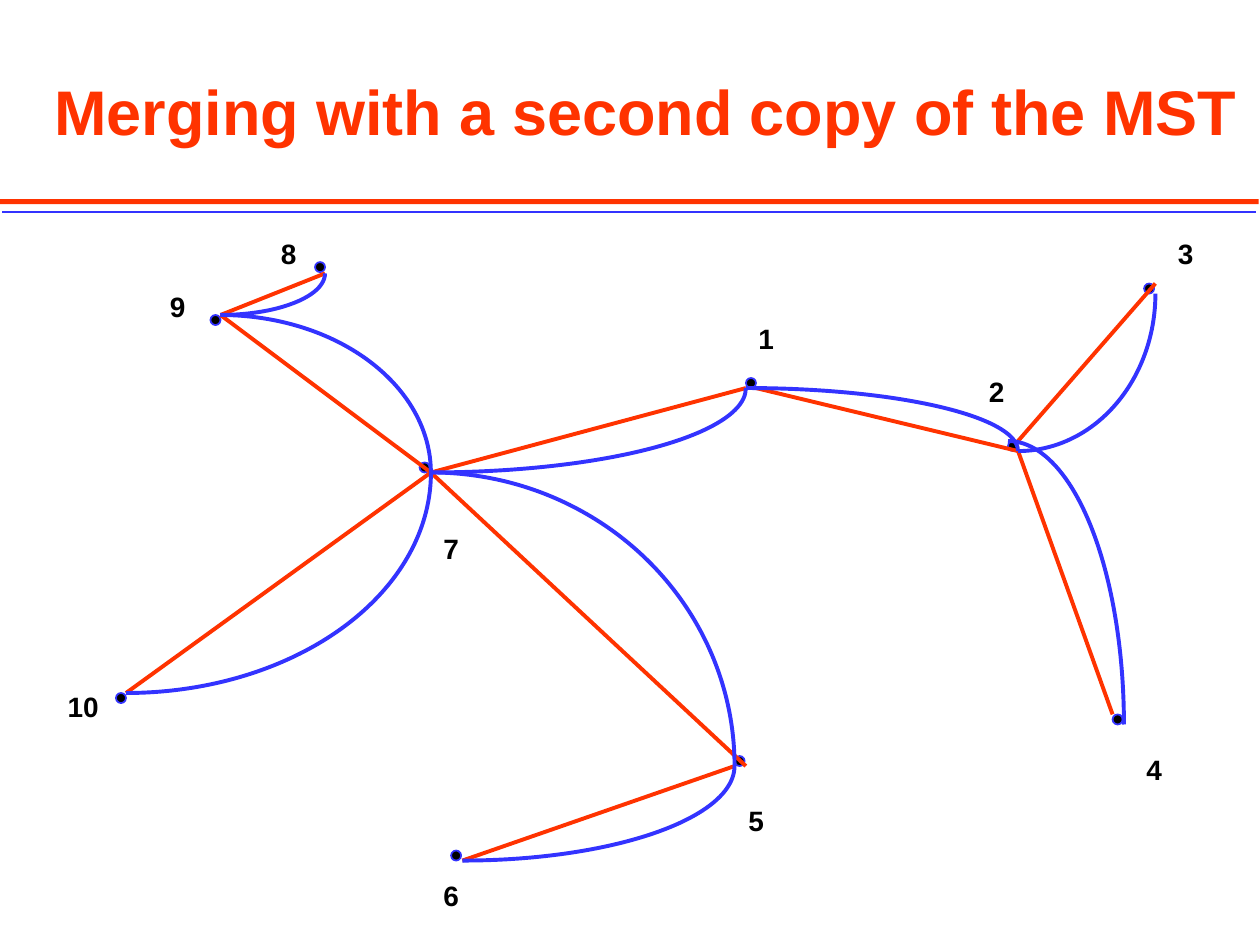
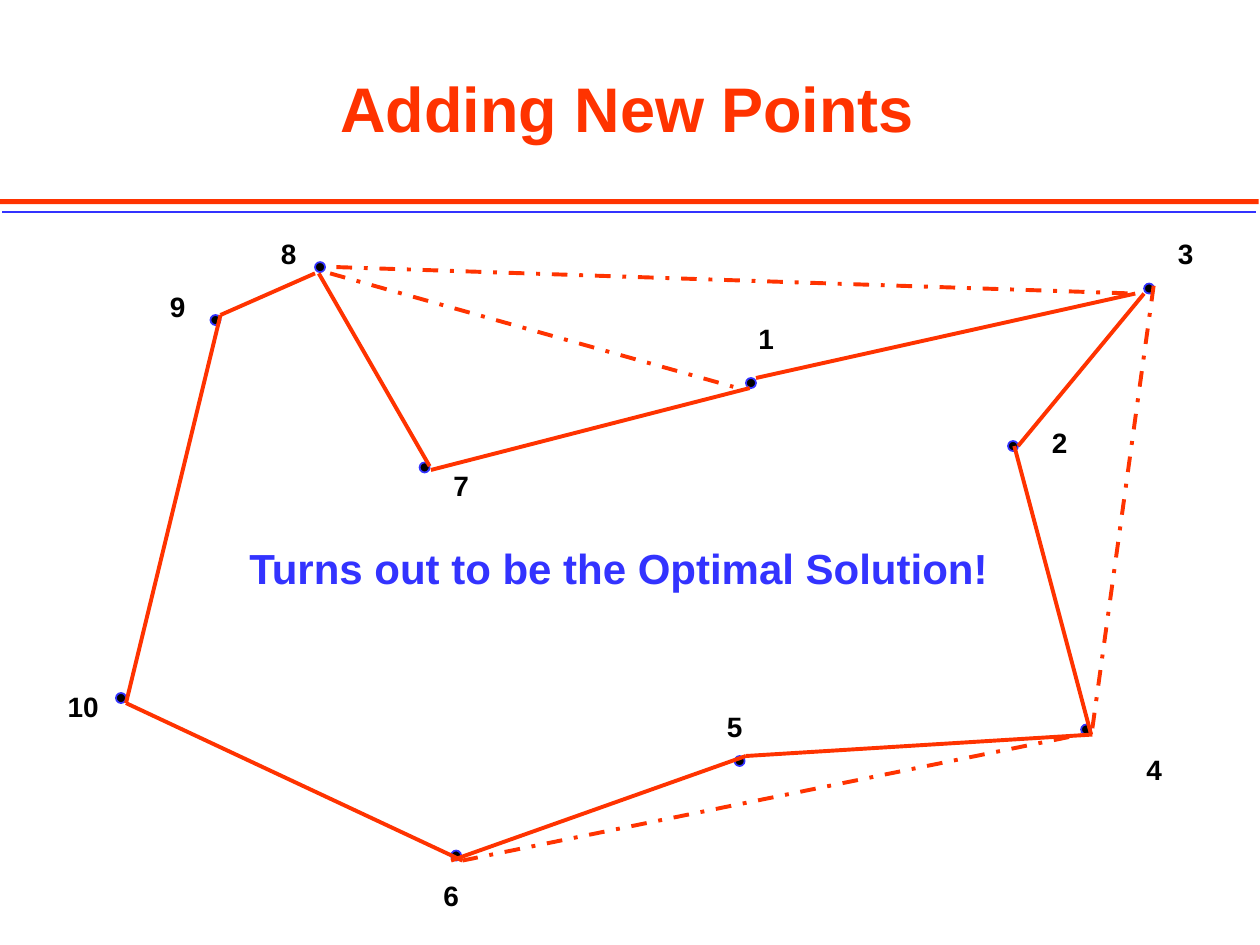
from dataclasses import dataclass, field

from lxml import etree
from pptx import Presentation
from pptx import presentation as prs
from pptx import util as u
from pptx.dml.color import RGBColor
from pptx.enum import dml, shapes, text
from pptx.oxml import ns
from pptx.slide import Slide
from pptx.text.text import TextFrame
from pptx.util import Inches

Point = tuple[float, float]


@dataclass(frozen=True)
class Theme:
    red: RGBColor = RGBColor(0xFF, 0x33, 0x00)
    blue: RGBColor = RGBColor(0x33, 0x33, 0xFF)
    black: RGBColor = RGBColor(0, 0, 0)
    font: str = "Arial"
    title_size: int = 36
    remark_size: int = 24
    label_size: int = 16
    edge_width: float = 2.25
    thin_width: float = 1
    node_size: float = 0.08


@dataclass(frozen=True)
class Box:
    left: float
    top: float
    width: float = 0.32
    height: float = 0.37

    def lengths(self) -> list[u.Length]:
        return [Inches(v) for v in (self.left, self.top, self.width, self.height)]


@dataclass(frozen=True)
class Edge:
    start: Point
    end: Point
    dashed: bool = False


@dataclass(frozen=True)
class Graph:
    title: str
    title_box: Box
    edges: list[Edge]
    arcs: list[Edge] = field(default_factory=list)
    moved_nodes: dict[int, Point] = field(default_factory=dict)
    moved_labels: dict[int, Box] = field(default_factory=dict)


THEME = Theme()
QUARTER_TURN = 90 * 60000

NODES: dict[int, Point] = {
    9: (1.67, 2.5), 8: (2.5, 2.08), 10: (0.92, 5.5), 6: (3.58, 6.75),
    7: (3.33, 3.67), 1: (5.92, 3), 5: (5.83, 6), 4: (8.83, 5.67),
    3: (9.08, 2.25), 2: (8, 3.5),
}
LABELS: dict[int, Box] = {
    8: Box(2.08, 1.83, 0.42), 9: Box(1.25, 2.25), 10: Box(0.41, 5.42, 0.5),
    7: Box(3.42, 4.17), 6: Box(3.42, 6.92), 1: Box(5.92, 2.5),
    5: Box(5.84, 6.33), 4: Box(9, 5.92), 3: Box(9.25, 1.83), 2: Box(7.75, 2.92),
}

# Points where several tree edges meet
HUB_1, HUB_2, HUB_5 = (5.92, 3.08), (8.08, 3.58), (5.83, 6.08)
HUB_6, HUB_7, HUB_8 = (3.67, 6.83), (3.42, 3.75), (2.58, 2.17)
HUB_9, HUB_10 = (1.75, 2.5), (1, 5.5)

MERGED_TREE = Graph(
    title="Merging with a second copy of the MST",
    title_box=Box(0.25, 0.25, 9.75, 1.25),
    edges=[
        Edge((6, 3.08), HUB_2),
        Edge((8.08, 3.5), (9.17, 2.25)),
        Edge(HUB_2, (8.83, 5.67)),
        Edge(HUB_7, HUB_1),
        Edge(HUB_5, HUB_6),
        Edge(HUB_7, HUB_10),
        Edge(HUB_9, HUB_7),
        Edge(HUB_9, HUB_8),
        Edge(HUB_7, (5.92, 6.08)),
    ],
    arcs=[
        Edge(HUB_10, HUB_7),
        Edge(HUB_9, HUB_7),
        Edge(HUB_9, HUB_8),
        Edge(HUB_6, HUB_5),
        Edge(HUB_7, HUB_5),
        Edge(HUB_7, HUB_1),
        Edge(HUB_1, HUB_2),
        Edge(HUB_2, (9.17, 2.33)),
        Edge((8, 3.5), (8.92, 5.75)),
    ],
)

TOUR = Graph(
    title="Adding New Points",
    title_box=Box(0.73, 0.23, 8.5, 1.25),
    edges=[
        Edge(HUB_6, (8.58, 5.83), dashed=True),
        Edge((1, 5.58), HUB_6),
        Edge((1, 5.58), HUB_9),
        Edge(HUB_9, (2.5, 2.17)),
        Edge((3.58, 6.83), (5.92, 6)),
        Edge((5.92, 6), (8.67, 5.83)),
        Edge((8.05, 3.54), (8.66, 5.83)),
        Edge((9.08, 2.33), (8.08, 3.54)),
        Edge((8.67, 5.78), (9.16, 2.24), dashed=True),
        Edge((6, 3), (9.01, 2.33)),
        Edge((2.67, 2.12), (9.01, 2.33), dashed=True),
        Edge((2.62, 2.17), (5.82, 3.07), dashed=True),
        Edge((3.42, 3.73), (5.95, 3.08)),
        Edge((2.53, 2.17), (3.41, 3.7)),
    ],
    moved_nodes={4: (8.58, 5.75)},
    moved_labels={7: Box(3.5, 3.67), 5: Box(5.67, 5.58), 2: Box(8.25, 3.33)},
)


def write(frame: TextFrame, words: str, size: int, color: RGBColor,
          align: text.PP_ALIGN = text.PP_ALIGN.CENTER) -> None:
    frame.text = words
    paragraph = frame.paragraphs[0]
    paragraph.alignment = align
    font = paragraph.font
    font.name, font.size, font.bold = THEME.font, u.Pt(size), True
    font.color.rgb = color


def add_text(slide: Slide, box: Box, words: str, size: int, color: RGBColor,
             align: text.PP_ALIGN = text.PP_ALIGN.CENTER) -> None:
    frame = slide.shapes.add_textbox(*box.lengths()).text_frame
    frame.word_wrap = False
    frame.auto_size = text.MSO_AUTO_SIZE.SHAPE_TO_FIT_TEXT
    write(frame, words, size, color, align)


def add_line(slide: Slide, edge: Edge, color: RGBColor, width: float) -> None:
    line = slide.shapes.add_connector(
        shapes.MSO_CONNECTOR.STRAIGHT,
        *(Inches(v) for v in (*edge.start, *edge.end)))
    line.line.color.rgb = color
    line.line.width = u.Pt(width)
    if edge.dashed:
        line.line.dash_style = dml.MSO_LINE.DASH_DOT
    etree.SubElement(line.element.spPr, ns.qn("a:effectLst"))


def add_arc(slide: Slide, edge: Edge) -> None:
    """Draw a quarter ellipse that leaves start level and reaches end upright."""
    start, end = ([Inches(v) for v in point] for point in (edge.start, edge.end))
    builder = slide.shapes.build_freeform(*start)
    builder.add_line_segments([end], close=False)
    arc = builder.convert_to_shape()
    segment = next(arc.element.iter(ns.qn("a:lnTo")))
    curve = etree.Element(ns.qn("a:arcTo"))
    goes_down = end[1] > start[1]
    values = {
        "wR": abs(end[0] - start[0]),
        "hR": abs(end[1] - start[1]),
        "stAng": QUARTER_TURN * (3 if goes_down else 1),
        "swAng": QUARTER_TURN * (1 if goes_down else -1),
    }
    for name, value in values.items():
        curve.set(name, str(int(value)))
    segment.getparent().replace(segment, curve)
    arc.shadow.inherit = False
    arc.fill.background()
    arc.line.color.rgb = THEME.blue
    arc.line.width = u.Pt(THEME.edge_width)


def add_node(slide: Slide, corner: Point) -> None:
    box = Box(*corner, THEME.node_size, THEME.node_size)
    node = slide.shapes.add_shape(shapes.MSO_SHAPE.OVAL, *box.lengths())
    node.shadow.inherit = False
    node.fill.solid()
    node.fill.fore_color.rgb = THEME.black
    node.line.color.rgb = THEME.blue
    node.line.width = u.Pt(THEME.thin_width)


def add_header(slide: Slide, words: str, box: Box) -> None:
    """Add the red and blue rules and fill the title."""
    rule = slide.shapes.add_shape(
        shapes.MSO_SHAPE.RECTANGLE, *Box(0, 1.58, 9.99, 0.04).lengths())
    rule.shadow.inherit = False
    rule.fill.solid()
    rule.fill.fore_color.rgb = THEME.red
    rule.line.fill.background()
    add_line(slide, Edge((0.02, 1.68), (9.97, 1.68)), THEME.blue, THEME.thin_width)

    title = slide.shapes.title
    title.left, title.top, title.width, title.height = box.lengths()
    title.text_frame.auto_size = text.MSO_AUTO_SIZE.NONE
    title.text_frame.vertical_anchor = text.MSO_ANCHOR.MIDDLE
    write(title.text_frame, words, THEME.title_size, THEME.red)


def add_graph_slide(deck: prs.Presentation, graph: Graph) -> Slide:
    slide = deck.slides.add_slide(deck.slide_layouts.get_by_name("Title Only"))
    add_header(slide, graph.title, graph.title_box)
    for corner in (NODES | graph.moved_nodes).values():
        add_node(slide, corner)
    for number, box in (LABELS | graph.moved_labels).items():
        add_text(slide, box, str(number), THEME.label_size, THEME.black)
    for edge in graph.edges:
        add_line(slide, edge, THEME.red, THEME.edge_width)
    for edge in graph.arcs:
        add_arc(slide, edge)
    return slide


def main() -> None:
    deck = Presentation()
    deck.slide_width, deck.slide_height = Inches(10), Inches(7.5)
    add_graph_slide(deck, MERGED_TREE)
    tour_slide = add_graph_slide(deck, TOUR)
    add_text(tour_slide, Box(1.88, 4.26, 6.09, 0.5),
             "Turns out to be the Optimal Solution!",
             THEME.remark_size, THEME.blue, text.PP_ALIGN.LEFT)
    deck.save("out.pptx")


if __name__ == "__main__":
    main()
